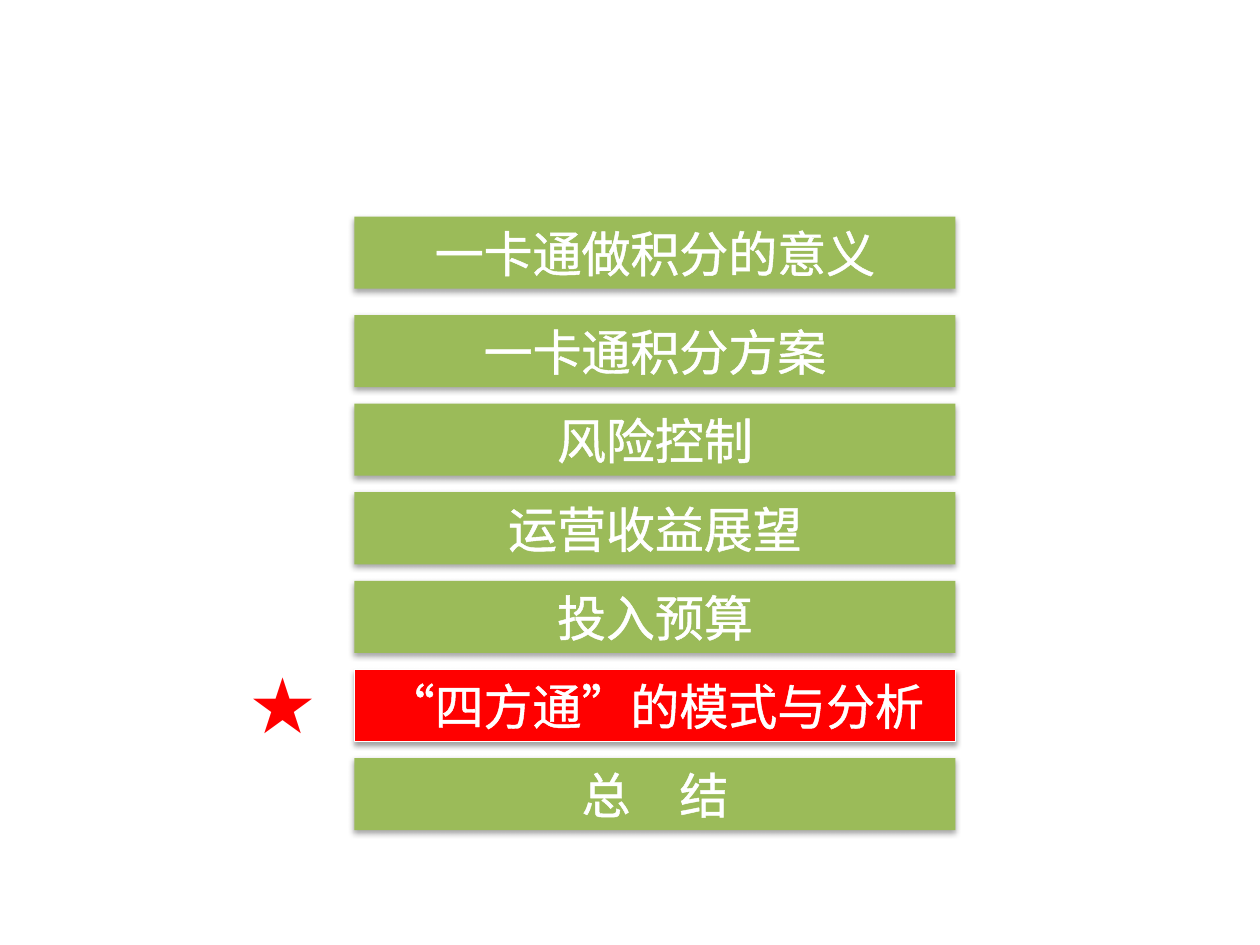
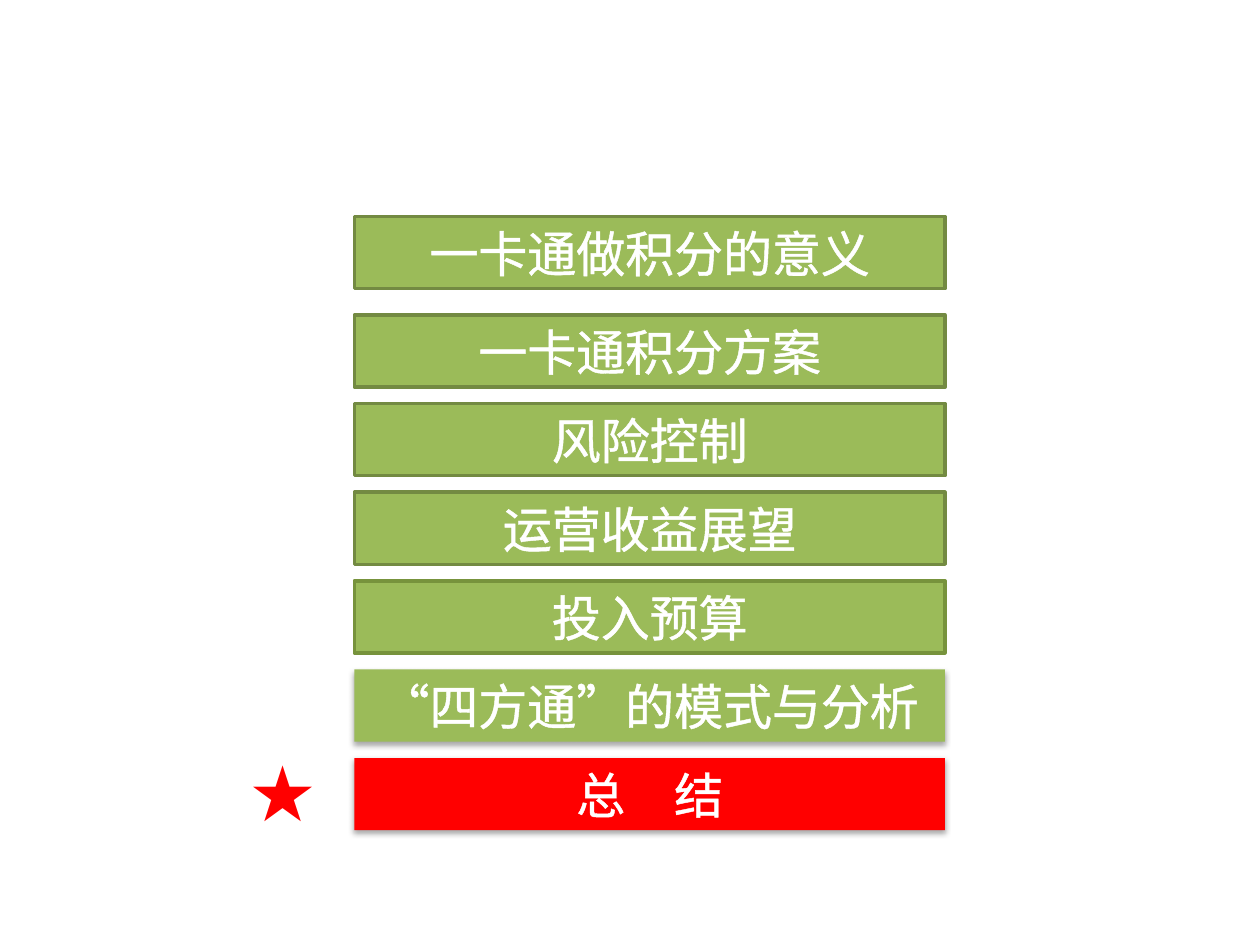
from dataclasses import dataclass

from lxml import etree
from pptx import Presentation
from pptx.dml.color import RGBColor
from pptx.enum.lang import MSO_LANGUAGE_ID
from pptx.enum.shapes import MSO_SHAPE
from pptx.enum.text import MSO_ANCHOR, MSO_AUTO_SIZE, PP_ALIGN
from pptx.oxml import parse_xml
from pptx.oxml.ns import nsdecls, qn
from pptx.util import Pt

RECTANGLE = MSO_SHAPE.RECTANGLE
CENTER = PP_ALIGN.CENTER
MIDDLE = MSO_ANCHOR.MIDDLE
GROW = MSO_AUTO_SIZE.SHAPE_TO_FIT_TEXT
CHINESE = MSO_LANGUAGE_ID.SIMPLIFIED_CHINESE

GREEN = RGBColor(0x9B, 0xBB, 0x59)
EDGE_GREEN = RGBColor(0x73, 0x8A, 0x42)
OLIVE = RGBColor(0x77, 0x93, 0x3C)
RED = RGBColor(0xFF, 0x00, 0x00)
WHITE = RGBColor(0xFF, 0xFF, 0xFF)
BLACK = RGBColor(0x00, 0x00, 0x00)
FONT = "Calibri"

TOPICS = [
    "一卡通做积分的意义",
    "一卡通积分方案",
    "风险控制",
    "运营收益展望",
    "投入预算",
    "“四方通”的模式与分析",
    "总　结",
]
AGENDA_LEFT, AGENDA_TOP = 202.5, 123.75
BAR_HEIGHT = 41.25
BAR_PITCH = 50.63
FIRST_EXTRA_GAP = 5.62
STAR_OFFSET_X, STAR_OFFSET_Y = -67.5, -11
STAR_WIDTH, STAR_HEIGHT = 33.75, 60.5


@dataclass
class Edge:
    color: RGBColor
    width: float


def add_shadow(shape):
    shape.shadow.inherit = False
    effects = shape._element.spPr.find(qn("a:effectLst"))
    effects.append(parse_xml(
        f'<a:outerShdw {nsdecls("a")} blurRad="{Pt(3.1)}" dist="{Pt(1.8)}" '
        f'dir="5400000" rotWithShape="0"><a:srgbClr val="{BLACK}">'
        '<a:alpha val="35000"/></a:srgbClr></a:outerShdw>'))


def outline_text(span, color, width):
    line = etree.Element(qn("a:ln"), w=str(Pt(width)))
    fill = etree.SubElement(line, qn("a:solidFill"))
    etree.SubElement(fill, qn("a:srgbClr"), val=str(color))
    span.font._element.insert(0, line) if hasattr(span.font, "_element") \
        else span._r.get_or_add_rPr().insert(0, line)


def write(shape, text, size, color):
    frame = shape.text_frame
    frame.text = text
    frame.word_wrap = True
    frame.auto_size = GROW
    span = frame.paragraphs[0].runs[0]
    span.font.name = FONT
    span.font.size = Pt(size)
    span.font.color.rgb = color
    span.font.language_id = CHINESE
    return span


def add_bar(page, left, top, width, topic, fill, edge=None, shadow=True):
    bar = page.shapes.add_shape(
        RECTANGLE, Pt(left), Pt(top), Pt(width), Pt(BAR_HEIGHT))
    bar.fill.solid()
    bar.fill.fore_color.rgb = fill
    if edge:
        bar.line.color.rgb = edge.color
        bar.line.width = Pt(edge.width)
    else:
        bar.line.fill.background()
    if shadow:
        add_shadow(bar)
    else:
        bar.shadow.inherit = False
    span = write(bar, topic, 28, WHITE)
    outline_text(span, WHITE, 1.45)
    bar.text_frame.vertical_anchor = MIDDLE
    bar.text_frame.paragraphs[0].alignment = CENTER


def add_star(page, left, top):
    star = page.shapes.add_textbox(
        Pt(left), Pt(top), Pt(STAR_WIDTH), Pt(STAR_HEIGHT))
    write(star, "★", 44, RED)


def add_agenda(page, left, top, width, current, edges, flat):
    """Stack the topics, star the current one; rows in flat cast no shadow."""
    for row, topic in enumerate(TOPICS):
        bar_top = top + row * BAR_PITCH + (FIRST_EXTRA_GAP if row else 0)
        fill = RED if row == current else GREEN
        add_bar(page, left, bar_top, width, topic, fill,
                edges.get(row), row not in flat)
        if row == current:
            add_star(page, left + STAR_OFFSET_X, bar_top + STAR_OFFSET_Y)


def main():
    deck = Presentation()
    deck.slide_width, deck.slide_height = Pt(720), Pt(540)
    blank = deck.slide_layouts[6]

    analysis_page = deck.slides.add_slide(blank)
    add_agenda(analysis_page, AGENDA_LEFT, AGENDA_TOP, 343.5, current=5,
               edges={5: Edge(WHITE, 0.75)}, flat=())

    summary_page = deck.slides.add_slide(blank)
    finished = range(5)
    edges = {row: Edge(EDGE_GREEN, 2) for row in finished}
    edges[4] = Edge(OLIVE, 2)
    add_agenda(summary_page, AGENDA_LEFT, AGENDA_TOP, 337.5, current=6,
               edges=edges, flat=finished)

    deck.save("out.pptx")


if __name__ == "__main__":
    main()
